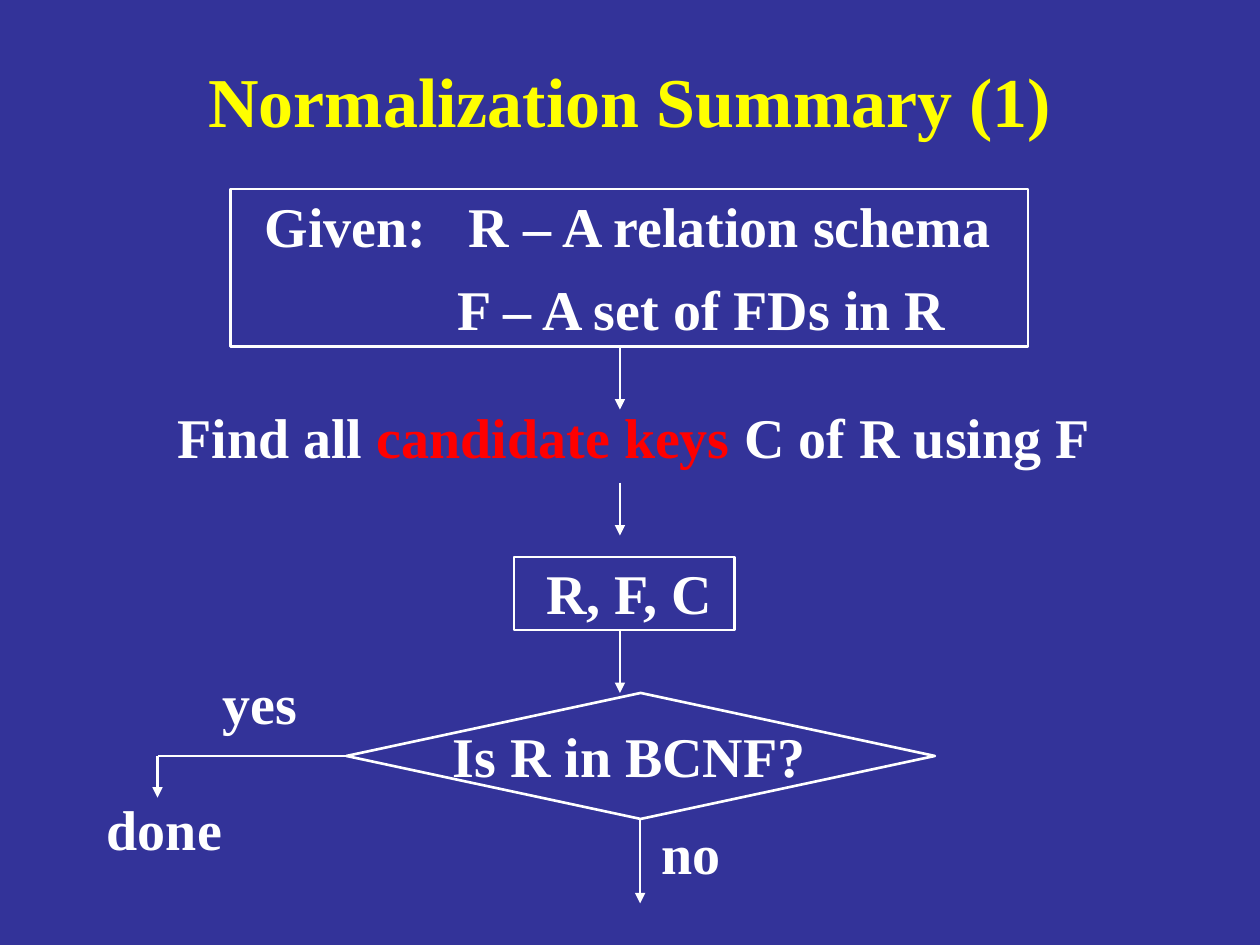
from dataclasses import dataclass

from lxml import etree
from pptx import Presentation
from pptx.dml.color import RGBColor
from pptx.enum.shapes import MSO_CONNECTOR, MSO_SHAPE
from pptx.enum.text import MSO_ANCHOR, PP_ALIGN
from pptx.oxml.ns import qn
from pptx.util import Inches, Pt

RECTANGLE, DIAMOND = MSO_SHAPE.RECTANGLE, MSO_SHAPE.DIAMOND
STRAIGHT = MSO_CONNECTOR.STRAIGHT
TOP, MIDDLE = MSO_ANCHOR.TOP, MSO_ANCHOR.MIDDLE
LEFT, CENTER = PP_ALIGN.LEFT, PP_ALIGN.CENTER


@dataclass(frozen=True)
class Theme:
    background: RGBColor = RGBColor(0x33, 0x33, 0x99)
    foreground: RGBColor = RGBColor(0xFF, 0xFF, 0xFF)
    title: RGBColor = RGBColor(0xFF, 0xFF, 0x00)
    highlight: RGBColor = RGBColor(0xFF, 0x00, 0x00)
    font: str = "Times New Roman"
    title_size: Pt = Pt(40)
    body_size: Pt = Pt(32)
    line_gap: Pt = Pt(9)
    line_width: Pt = Pt(1.5)


class FlowSlide:
    def __init__(self, presentation, theme):
        self.theme = theme
        self.slide = presentation.slides.add_slide(presentation.slide_layouts[6])
        fill = self.slide.background.fill
        fill.solid()
        fill.fore_color.rgb = theme.background

    def style(self, paragraph, size=None, color=None, align=LEFT):
        paragraph.alignment = align
        font = paragraph.font
        font.name, font.bold = self.theme.font, True
        font.size = size or self.theme.body_size
        font.color.rgb = color or self.theme.foreground

    def frame(self, shape, insets, anchor=MIDDLE, wrap=False):
        frame = shape.text_frame
        frame.word_wrap, frame.vertical_anchor = wrap, anchor
        (frame.margin_left, frame.margin_top,
         frame.margin_right, frame.margin_bottom) = map(Inches, insets)
        return frame

    def text(self, left, top, width, height, text, **style):
        box = self.slide.shapes.add_textbox(*map(Inches, (left, top, width, height)))
        frame = self.frame(box, (0.1, 0, 0.1, 0), wrap=True)
        paragraph = frame.paragraphs[0]
        paragraph.text = text
        self.style(paragraph, **style)
        return paragraph

    def node(self, kind, left, top, width, height, text="", insets=(0, 0, 0, 0), anchor=MIDDLE):
        shape = self.slide.shapes.add_shape(kind, *map(Inches, (left, top, width, height)))
        shape.shadow.inherit = False
        shape.fill.background()
        shape.line.color.rgb = self.theme.foreground
        shape.line.width = self.theme.line_width
        frame = self.frame(shape, insets, anchor)
        if text:
            frame.text = text
            self.style(frame.paragraphs[0], align=CENTER)
        return frame

    def given_box(self, left, top, width, height, first, second, tab, indent):
        frame = self.node(RECTANGLE, left, top, width, height,
                          insets=(0.27, 0.02, 0.1, 0), anchor=TOP)
        frame.word_wrap = True
        frame.text = f"{first}\n{second}"
        heading, detail = frame.paragraphs
        tabs = etree.SubElement(heading._p.get_or_add_pPr(), qn("a:tabLst"))
        etree.SubElement(tabs, qn("a:tab"), pos=str(Inches(tab)), algn="l")
        detail._p.get_or_add_pPr().set("marL", str(Inches(indent)))
        detail.space_before = self.theme.line_gap
        for paragraph in frame.paragraphs:
            self.style(paragraph)

    def line(self, start, end, arrow=True):
        connector = self.slide.shapes.add_connector(STRAIGHT, *map(Inches, (*start, *end)))
        connector.line.color.rgb = self.theme.foreground
        connector.line.width = self.theme.line_width
        if arrow:
            etree.SubElement(connector.line._get_or_add_ln(), qn("a:tailEnd"), type="triangle")
        etree.SubElement(connector._element.spPr, qn("a:effectLst"))


def main():
    presentation = Presentation()
    presentation.slide_width, presentation.slide_height = Inches(10), Inches(7.5)
    theme = Theme()
    flow = FlowSlide(presentation, theme)

    # Title
    flow.text(0.75, 0.33, 8.5, 0.92, "Normalization Summary (1)",
              size=theme.title_size, color=theme.title, align=CENTER)

    # Input and candidate keys
    flow.given_box(1.83, 1.5, 6.33, 1.25, "Given:\tR – A relation schema",
                   "F – A set of FDs in R", tab=1.62, indent=1.53)
    step = flow.text(1.31, 3.11, 7.7, 0.7, "Find all ")
    keyword = step.add_run()
    keyword.text = "candidate keys "
    keyword.font.color.rgb = theme.highlight
    step.add_run().text = "C of R using F"

    # Collected result and decision
    flow.node(RECTANGLE, 4.08, 4.42, 1.75, 0.58, "R, F, C", insets=(0.08, 0, 0, 0.02))
    flow.node(DIAMOND, 2.75, 5.5, 4.67, 1, "Is R in BCNF?", insets=(0, 0, 0.18, 0.01))

    # Arrows down the main flow
    for x, top, bottom in ((4.92, 2.75, 3.25), (4.92, 3.83, 4.25),
                           (4.92, 5, 5.5), (5.08, 6.5, 7.17)):
        flow.line((x, top), (x, bottom))

    # Branch to the end
    flow.line((2.75, 6), (1.25, 6), arrow=False)
    flow.line((1.25, 6), (1.25, 6.33))

    # Branch labels
    for left, top, label in ((0.75, 6.25, "done"), (5.15, 6.44, "no"), (1.67, 5.25, "yes")):
        flow.text(left, top, 1.4, 0.64, label)

    presentation.save("out.pptx")


if __name__ == "__main__":
    main()
